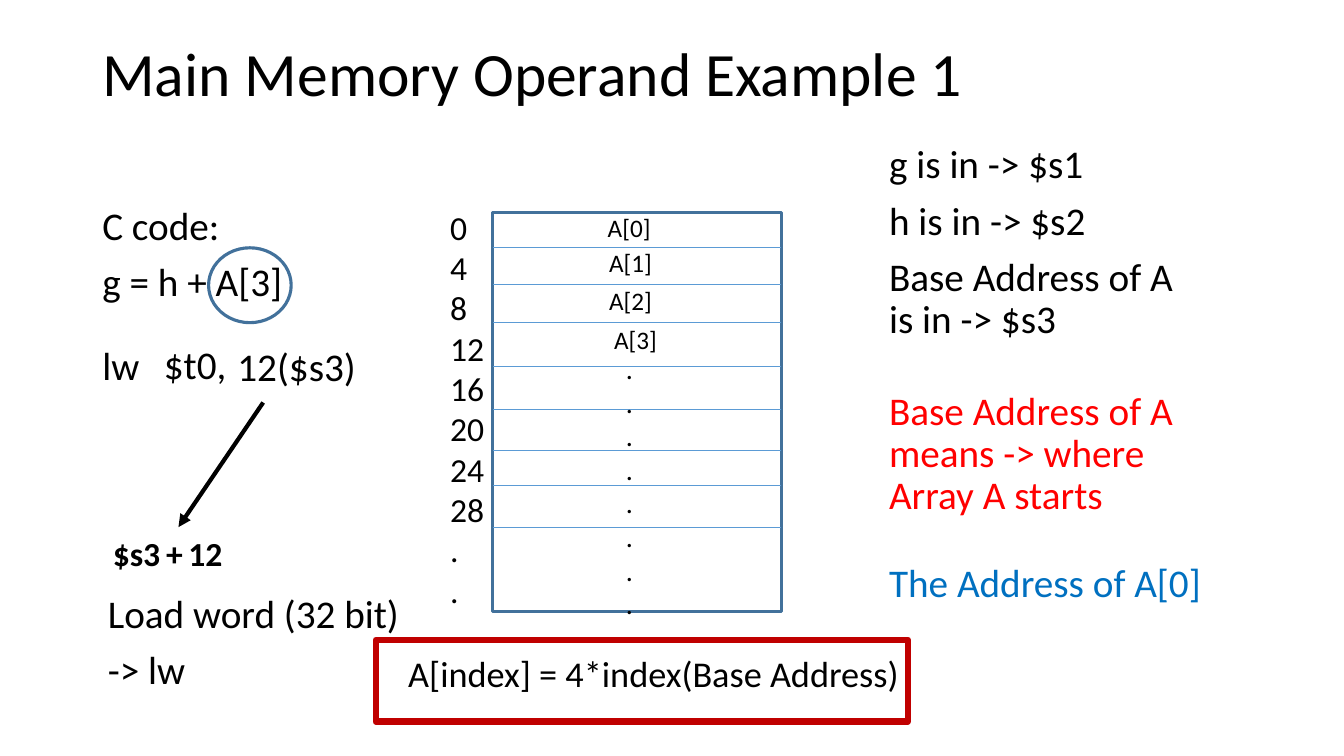
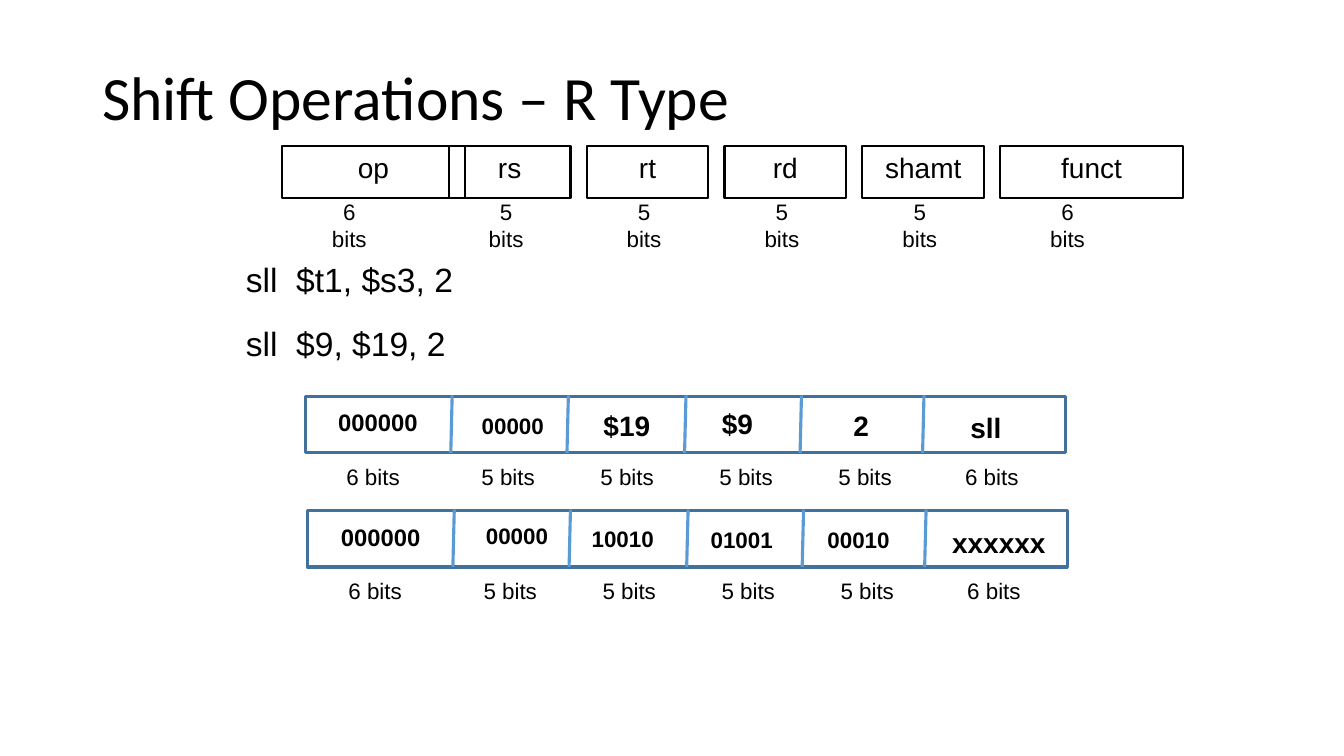
from pptx import Presentation
from pptx.dml.color import RGBColor
from pptx.enum.shapes import MSO_CONNECTOR, MSO_SHAPE
from pptx.enum.text import MSO_ANCHOR, PP_ALIGN
from pptx.oxml.ns import qn
from pptx.util import Pt
from lxml.etree import SubElement

BLACK = RGBColor(0x00, 0x00, 0x00)
RED = RGBColor(0xFF, 0x00, 0x00)
DARK_RED = RGBColor(0xC0, 0x00, 0x00)
BLUE = RGBColor(0x00, 0x70, 0xC0)
STEEL = RGBColor(0x42, 0x71, 0x9B)
SKY = RGBColor(0x5B, 0x9B, 0xD5)


def add_box(slide, bounds, lines=(), size=28, font="Calibri", color=BLACK, bold=False,
            align=PP_ALIGN.LEFT, spacing=1.0, before=0, anchor=MSO_ANCHOR.TOP,
            outline=None, weight=2.25, kind=MSO_SHAPE.RECTANGLE):
    position = [Pt(value) for value in bounds]
    if outline is None:
        shape = slide.shapes.add_textbox(*position)
    else:
        shape = slide.shapes.add_shape(kind, *position)
        shape.shadow.inherit = False
        shape.fill.background()
        shape.line.color.rgb = outline
        shape.line.width = Pt(weight)
    frame = shape.text_frame
    frame.word_wrap = True
    frame.vertical_anchor = anchor
    for index, line in enumerate(lines):
        paragraph = frame.add_paragraph() if index else frame.paragraphs[0]
        paragraph.alignment = align
        paragraph.line_spacing = spacing
        paragraph.space_before = Pt(before if index else 0)
        run = paragraph.add_run()
        run.text = line
        run.font.name = font
        run.font.size = Pt(size)
        run.font.bold = bold
        run.font.color.rgb = color


def add_line(slide, x1, y1, x2, y2, color, weight, arrow=False):
    connector = slide.shapes.add_connector(
        MSO_CONNECTOR.STRAIGHT, Pt(x1), Pt(y1), Pt(x2), Pt(y2))
    connector.line.color.rgb = color
    connector.line.width = Pt(weight)
    if arrow:
        SubElement(connector.line._get_or_add_ln(), qn("a:tailEnd"), type="triangle")
    SubElement(connector._element.spPr, qn("a:effectLst"))


presentation = Presentation()
presentation.slide_width = Pt(960)
presentation.slide_height = Pt(540)

slides = []
for title, top, height in [("Main Memory Operand Example 1", 20, 70),
                           ("Shift Operations – R Type", 29, 85)]:
    slide = presentation.slides.add_slide(presentation.slide_layouts[6])
    add_box(slide, (66, top, 828, height), [title], size=44, spacing=0.9,
            anchor=MSO_ANCHOR.MIDDLE)
    slides.append(slide)
memory_slide, shift_slide = slides

for bounds, lines, color in [
    ((66, 144, 298, 94), ["C code:", "g = h + A[3]"], BLACK),
    ((628, 100, 238, 153), ["g is in -> $s1", "h is in -> $s2",
                            "Base Address of A is in -> $s3"], BLACK),
    ((628, 276, 238, 100), ["Base Address of A means -> where Array A starts"], RED),
    ((628, 399, 238, 100), ["The Address of A[0]"], BLUE),
    ((70, 421, 298, 94), ["Load word (32 bit)", "-> lw"], BLACK),
    ((66, 244, 43, 43), ["lw"], BLACK),
    ((110, 243.5, 62, 44), ["$t0,"], BLACK),
    ((162.5, 245, 106, 44), ["12($s3)"], BLACK),
]:
    add_box(memory_slide, bounds, lines, color=color, spacing=0.9, before=10)

add_box(memory_slide, (352, 152, 206, 284.5), outline=STEEL)
for y in [177, 203, 230.5, 261.5, 292.5, 322, 347, 376.5]:
    add_line(memory_slide, 352, y, 558, y, SKY, 0.75)
for index, (left, top) in enumerate([(427, 148), (428, 173), (428, 200), (431.5, 228)]):
    add_box(memory_slide, (left, top, 70, 29), [f"A[{index}]"], size=18)
add_box(memory_slide, (440, 247.5, 68, 202), ["."] * 8, size=20)
addresses = [str(4 * index) for index in range(8)]
add_box(memory_slide, (314.5, 144, 50, 327), addresses + [".", "."], size=24)

add_box(memory_slide, (149, 177, 59, 53.5), outline=STEEL, kind=MSO_SHAPE.OVAL)
for left, term in [(73.5, "$s3"), (111.5, "+"), (127.5, "12")]:
    add_box(memory_slide, (left, 377, 51, 36), [term], size=24, bold=True)
add_line(memory_slide, 188, 287.5, 127.5, 376.5, BLACK, 3, arrow=True)
add_box(memory_slide, (284.5, 465, 387, 43), ["A[index] = 4*index(Base Address)"],
        size=25.9, spacing=0.9)
add_box(memory_slide, (268.5, 457, 380, 58.5), outline=DARK_RED, weight=4.5)

BITS = [6, 5, 5, 5, 5, 6]
FIELDS = ["op", "rs", "rt", "rd", "shamt", "funct"]
field_lefts = [201.5] + [320.5 + 98.5 * index for index in range(5)]
for field, bits, left in zip(FIELDS, BITS, field_lefts):
    width, inset = (130.5, 26.5) if bits == 6 else (87, 19.5)
    add_box(shift_slide, (left, 104, width, 37.5), [field], size=20, font="Arial",
            align=PP_ALIGN.CENTER, outline=BLACK, weight=1.5)
    add_box(shift_slide, (left + inset, 138, 43, 37.5), [f"{bits} bits"], size=16,
            font="Arial", align=PP_ALIGN.CENTER)

for top, instruction in [(181.5, "sll  $t1, $s3, 2"), (227, "sll  $9, $19, 2")]:
    add_box(shift_slide, (168.5, top, 292, 36), [instruction], size=24, font="Arial")

ENCODINGS = [
    (218, 283, [("000000", 234.5, 288, 17), ("00000", 337, 291, 16), ("$19", 424, 288, 20),
                ("$9", 508.5, 286.5, 20), ("2", 602.5, 288, 20), ("sll", 686, 290, 20)]),
    (219.5, 364.5, [("000000", 236.5, 370, 17), ("00000", 340, 369.5, 16),
                    ("10010", 415.5, 371.5, 16), ("01001", 500.5, 372, 16),
                    ("00010", 584, 372, 16), ("xxxxxx", 673, 372, 20)]),
]
bit_offsets = [22] + [118.5 + 85 * index for index in range(4)] + [464]
for left, top, values in ENCODINGS:
    add_box(shift_slide, (left, top, 543, 40.5), outline=STEEL)
    for offset in [105, 188, 272, 354.5, 442]:
        add_line(shift_slide, left + offset, top - 0.5, left + offset - 1, top + 40.5,
                 SKY, 2.25)
    for value, value_left, value_top, size in values:
        add_box(shift_slide, (value_left, value_top, 86, 30), [value], size=size,
                font="Arial", bold=True)
    for bits, offset in zip(BITS, bit_offsets):
        add_box(shift_slide, (left + offset, top + 44, 53, 27), [f"{bits} bits"], size=16,
                font="Arial", align=PP_ALIGN.CENTER)

presentation.save("out.pptx")
